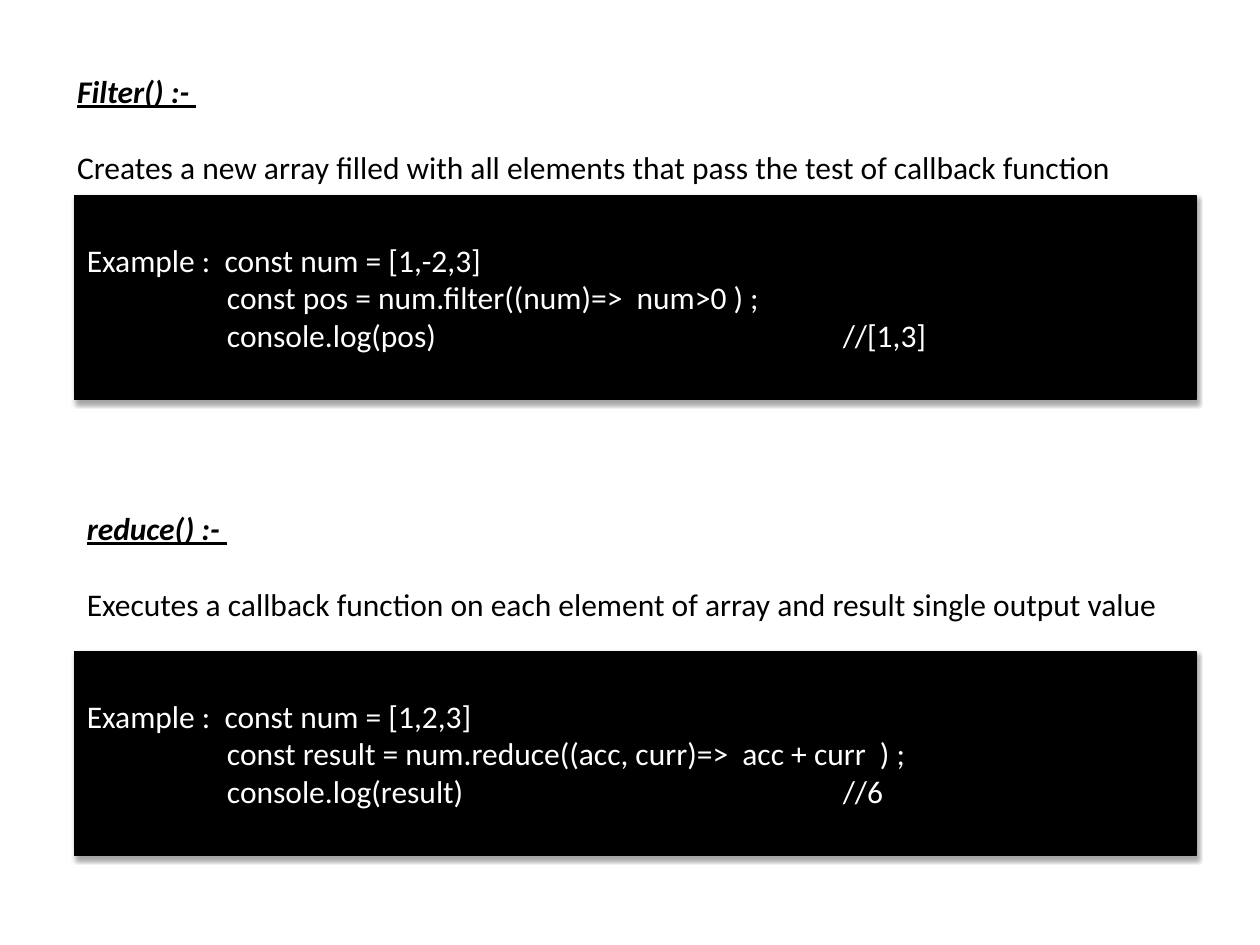
import lxml.etree
import pptx
import pptx.dml.color
import pptx.enum.shapes
import pptx.enum.text
import pptx.oxml.ns
import pptx.util

Pt = pptx.util.Pt
WIDTH = 641


def rgb(value):
    """Return the colour for a hex string."""
    return pptx.dml.color.RGBColor.from_string(value)


def style(paragraph, color, emphasis=False):
    """Format the runs of a paragraph, with emphasis for a heading."""
    for run in paragraph.runs:
        run.font.name = "Calibri"
        run.font.size = Pt(18)
        run.font.color.rgb = rgb(color)
        run.font.bold = run.font.italic = run.font.underline = emphasis


def add_child(parent, tag, **attributes):
    """Append a DrawingML element with the given attributes."""
    child = lxml.etree.SubElement(parent, pptx.oxml.ns.qn(tag))
    for name, value in attributes.items():
        child.set(name, str(value))
    return child


def add_shadow(panel):
    """Give a panel a soft shadow straight below it."""
    panel.shadow.inherit = False
    effects = panel._element.spPr.find(pptx.oxml.ns.qn("a:effectLst"))
    shadow = add_child(effects, "a:outerShdw", blurRad=Pt(3.1), dist=Pt(1.8),
                       dir=5400000, rotWithShape=0)
    color = add_child(shadow, "a:srgbClr", val="000000")
    add_child(color, "a:alpha", val=35000)


def add_tab_stops(paragraph, positions):
    """Set left tab stops on a paragraph."""
    stops = add_child(paragraph._p.get_or_add_pPr(), "a:tabLst")
    for position in positions:
        add_child(stops, "a:tab", pos=Pt(position), algn="l")


def add_method(slide, left, top, heading, description):
    """Add a method heading with its description below."""
    box = slide.shapes.add_textbox(Pt(left), Pt(top), Pt(WIDTH), Pt(72.7))
    frame = box.text_frame
    frame.word_wrap = True
    frame.text = f"{heading}\n{description}"
    title, body = frame.paragraphs
    body.space_before = Pt(22)
    style(title, "000000", emphasis=True)
    style(body, "000000")


def add_example(slide, left, top, code):
    """Add a black panel with code lines."""
    panel = slide.shapes.add_shape(
        pptx.enum.shapes.MSO_SHAPE.RECTANGLE,
        Pt(left), Pt(top), Pt(WIDTH), Pt(116.6))
    panel.fill.solid()
    panel.fill.fore_color.rgb = rgb("000000")
    panel.line.color.rgb = rgb("000000")
    panel.line.width = Pt(0.75)
    add_shadow(panel)
    frame = panel.text_frame
    frame.word_wrap = True
    frame.vertical_anchor = pptx.enum.text.MSO_ANCHOR.MIDDLE
    frame.text = "\n".join(code)
    for line in frame.paragraphs:
        line.alignment = pptx.enum.text.PP_ALIGN.LEFT
        add_tab_stops(line, (72, 432))
        style(line, "FFFFFF")


def main():
    """Build the slide on the filter and reduce methods."""
    deck = pptx.Presentation()
    deck.slide_width, deck.slide_height = Pt(720), Pt(540)
    slide = deck.slides.add_slide(deck.slide_layouts[6])
    add_method(slide, 37, 37.4, "Filter() :- ",
               "Creates a new array filled with all elements that pass "
               "the test of callback function")
    add_example(slide, 42.5, 111.6, (
        "Example :  const num = [1,-2,3]",
        "\t  const pos = num.filter((num)=>  num>0 ) ;",
        "\t  console.log(pos)\t//[1,3]"))
    add_method(slide, 42.5, 287.3, "reduce() :- ",
               "Executes a callback function on each element of array "
               "and result single output value")
    add_example(slide, 42.5, 372.2, (
        "Example :  const num = [1,2,3]",
        "\t  const result = num.reduce((acc, curr)=>  acc + curr  ) ;",
        "\t  console.log(result)\t//6"))
    deck.save("out.pptx")


if __name__ == "__main__":
    main()
